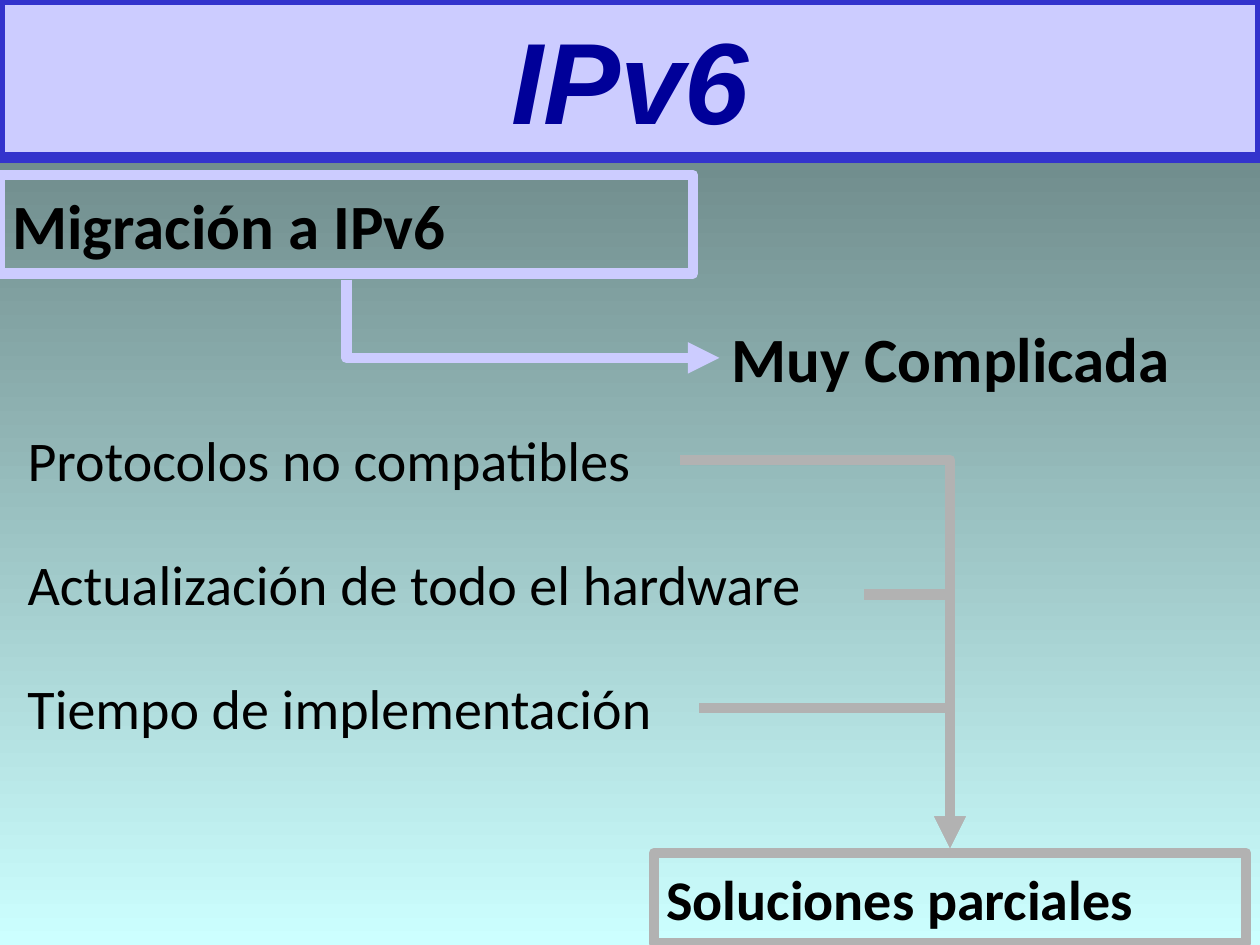
from lxml import etree
from pptx import Presentation
from pptx import util as u
from pptx.dml.color import RGBColor
from pptx.enum import shapes, text
from pptx.oxml.ns import qn

NAVY = RGBColor(0x00, 0x00, 0x99)
BLUE = RGBColor(0x33, 0x33, 0xCC)
LAVENDER = RGBColor(0xCC, 0xCC, 0xFF)
GRAY = RGBColor(0xB2, 0xB2, 0xB2)
BLACK = RGBColor(0x00, 0x00, 0x00)
TEAL = RGBColor(0x5E, 0x76, 0x76)
AQUA = RGBColor(0xCC, 0xFF, 0xFF)
LINE_WIDTH = u.Pt(6)

TITLE = ("IPv6", (0, 0, 10, 1.25))
FRAMED = [
    ("Migración a IPv6", (0, 1.39, 5.5, 0.78), 36, LAVENDER),
    ("Soluciones parciales", (5.19, 6.77, 4.7, 0.72), 32, GRAY),
]
VERDICT = ("Muy Complicada", (5.71, 2.49, 3.77, 0.7))
PROBLEMS = [
    ("Protocolos no compatibles", 5.28),
    ("Actualización de todo el hardware", 6.61),
    ("Tiempo de implementación", 5.43),
]
PROBLEM_LEFT, PROBLEM_TOP, PROBLEM_STEP, PROBLEM_HEIGHT = 0.12, 3.33, 0.985, 0.63
MIGRATION_ARROW = ((2.75, 2.22), (5.71, 2.84))
PROBLEM_ARROW_STARTS = [(5.4, 3.65), (6.86, 4.72), (5.55, 5.62)]
SOLUTION_POINT = (7.54, 6.73)


def write(shape, content, size, font="Calibri", color=BLACK, bold=False, italic=False):
    frame = shape.text_frame
    frame.text = content
    frame.word_wrap = True
    paragraph = frame.paragraphs[0]
    paragraph.alignment = text.PP_ALIGN.LEFT
    paragraph.font.name = font
    paragraph.font.size = u.Pt(size)
    paragraph.font.bold = bold
    paragraph.font.italic = italic
    paragraph.font.color.rgb = color
    return paragraph


def add_label(slide, content, box, size, bold=False):
    write(slide.shapes.add_textbox(*map(u.Inches, box)), content, size, bold=bold)


def add_frame(slide, box, line_color, fill_color=None):
    shape = slide.shapes.add_shape(shapes.MSO_SHAPE.RECTANGLE, *map(u.Inches, box))
    shape.shadow.inherit = False
    if fill_color is None:
        shape.fill.background()
    else:
        shape.fill.solid()
        shape.fill.fore_color.rgb = fill_color
    shape.line.color.rgb = line_color
    shape.line.width = LINE_WIDTH
    return shape


def add_elbow_arrow(slide, start, end, color, down_first=False):
    connector = slide.shapes.add_connector(
        shapes.MSO_CONNECTOR.ELBOW, *map(u.Inches, start + end))
    connector.line.color.rgb = color
    connector.line.width = LINE_WIDTH
    properties = connector._element.spPr
    properties.find(qn("a:prstGeom")).set("prst", "bentConnector2")
    etree.SubElement(properties.find(qn("a:ln")), qn("a:tailEnd"), type="triangle")
    etree.SubElement(properties, qn("a:effectLst"))
    if down_first:
        width, height = connector.width, connector.height
        connector.left += (width - height) // 2
        connector.top += (height - width) // 2
        connector.width, connector.height = height, width
        transform = properties.find(qn("a:xfrm"))
        transform.set("rot", str(270 * 60000))
        transform.set("flipH", "1")


def main():
    presentation = Presentation()
    presentation.slide_width = u.Inches(10)
    presentation.slide_height = u.Inches(7.5)
    slide = presentation.slides.add_slide(presentation.slide_layouts[6])

    background = slide.background.fill
    background.gradient()
    background.gradient_angle = 270
    for stop, color, position in zip(background.gradient_stops, (TEAL, AQUA), (0, 1)):
        stop.color.rgb = color
        stop.position = position

    content, box = TITLE
    title = add_frame(slide, box, BLUE, LAVENDER)
    paragraph = write(title, content, 66, "Arial", NAVY, bold=True, italic=True)
    paragraph.alignment = text.PP_ALIGN.CENTER

    for content, box, size, color in FRAMED:
        write(add_frame(slide, box, color), content, size, bold=True)

    add_label(slide, *VERDICT, 36, bold=True)
    for index, (content, width) in enumerate(PROBLEMS):
        top = PROBLEM_TOP + index * PROBLEM_STEP
        add_label(slide, content, (PROBLEM_LEFT, top, width, PROBLEM_HEIGHT), 32)

    add_elbow_arrow(slide, *MIGRATION_ARROW, LAVENDER, down_first=True)
    for start in PROBLEM_ARROW_STARTS:
        add_elbow_arrow(slide, start, SOLUTION_POINT, GRAY)

    presentation.save("out.pptx")


if __name__ == "__main__":
    main()
